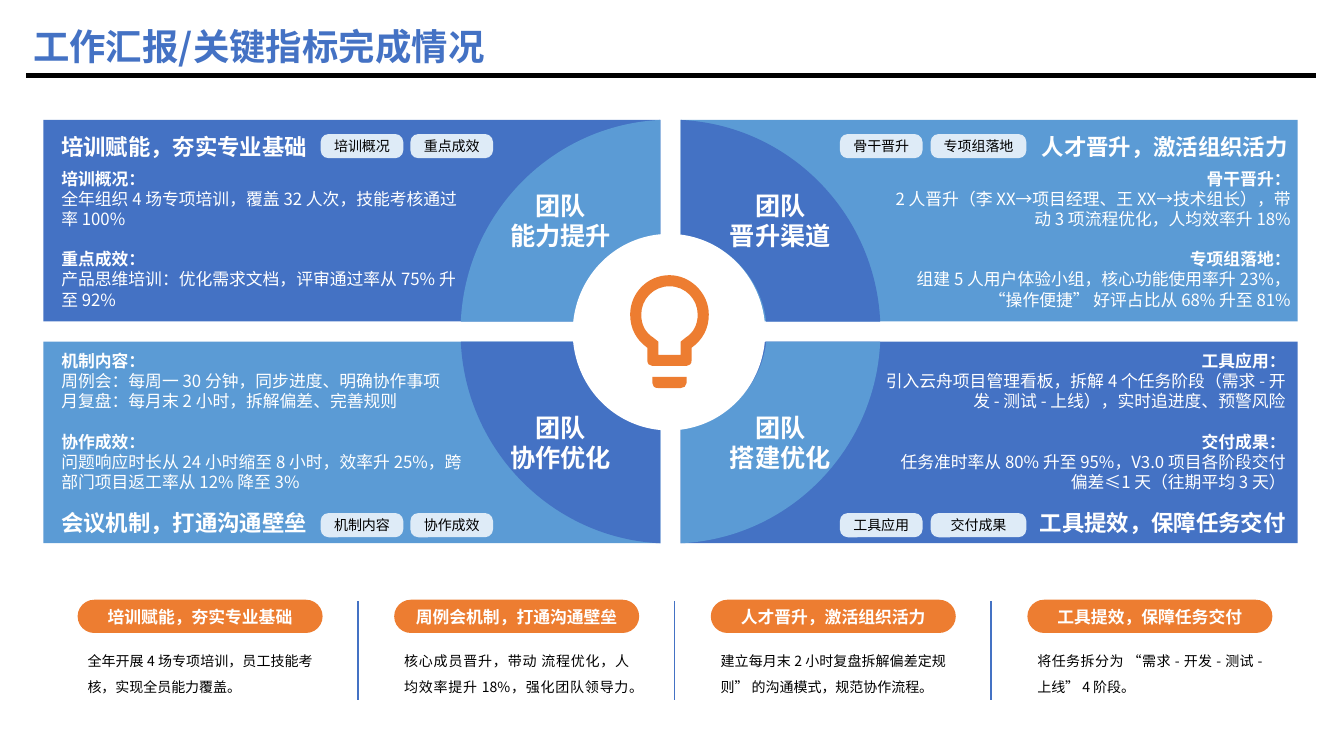
from lxml.etree import SubElement
from pptx import Presentation
from pptx.dml.color import RGBColor
from pptx.enum.shapes import MSO_CONNECTOR, MSO_SHAPE
from pptx.enum.text import MSO_ANCHOR, PP_ALIGN
from pptx.oxml.ns import qn
from pptx.util import Inches, Pt

BLUE, SKY, ORANGE, PALE = "4472C4", "5B9BD5", "ED7D31", "DEEBF7"
WHITE, BLACK = "FFFFFF", "000000"
LEFT, RIGHT = PP_ALIGN.LEFT, PP_ALIGN.RIGHT
CENTER, JUSTIFY = PP_ALIGN.CENTER, PP_ALIGN.JUSTIFY


def color(hex_code):
    return RGBColor.from_string(hex_code)


def write(frame, text, size=12, ink=WHITE, bold=False, align=LEFT, pitch=1.2,
          before=0, font="Noto Sans CJK SC"):
    """Add one paragraph to a text frame."""
    first = not frame.paragraphs[0].runs
    paragraph = frame.paragraphs[0] if first else frame.add_paragraph()
    paragraph.alignment = align
    paragraph.line_spacing = Pt(size * pitch)
    if before and not first:
        paragraph.space_before = Pt(before)
    run = paragraph.add_run()
    run.text = text
    run.font.size = Pt(size)
    run.font.bold = bold
    run.font.color.rgb = color(ink)
    run.font.name = font
    SubElement(run.font._element, qn("a:ea"), typeface=font)


class Report:
    """Holds the presentation and draws styled elements on its slide."""

    def __init__(self):
        self.deck = Presentation()
        self.deck.slide_width = Inches(13.33)
        self.deck.slide_height = Inches(7.5)
        self.slide = self.deck.slides.add_slide(self.deck.slide_layouts[6])
        self.shapes = self.slide.shapes

    def paint(self, shape, fill):
        shape.shadow.inherit = False
        shape.fill.solid()
        shape.fill.fore_color.rgb = color(fill)
        shape.line.fill.background()
        shape.text_frame.word_wrap = True
        shape.text_frame.vertical_anchor = MSO_ANCHOR.MIDDLE
        return shape

    def block(self, kind, x, y, w, h, fill):
        shape = self.shapes.add_shape(kind, Inches(x), Inches(y), Inches(w), Inches(h))
        return self.paint(shape, fill)

    def pill(self, text, x, y, w, h, fill, rounding, **style):
        shape = self.block(MSO_SHAPE.ROUNDED_RECTANGLE, x, y, w, h, fill)
        shape.adjustments[0] = rounding
        frame = shape.text_frame
        frame.margin_left = frame.margin_right = 0
        frame.margin_top = frame.margin_bottom = 0
        write(frame, text, align=CENTER, **style)

    def outline(self, contours, fill):
        """Draw contours whose segments are one point (line) or three (curve)."""
        emu = [[[(Inches(x), Inches(y)) for x, y in segment] for segment in contour]
               for contour in contours]
        builder = self.shapes.build_freeform(*emu[0][0][0])
        for index, (start, *segments) in enumerate(emu):
            if index:
                builder.move_to(*start[0])
            builder.add_line_segments([point for segment in segments for point in segment])
        shape = builder.convert_to_shape()
        steps = iter(list(shape._element.iter(qn("a:lnTo"))))
        for _start, *segments in emu:
            for segment in segments:
                lines = [next(steps) for _point in segment]
                if len(lines) == 3:
                    curve = SubElement(lines[0].getparent(), qn("a:cubicBezTo"))
                    lines[0].addprevious(curve)
                    for line in lines:
                        curve.append(line[0])
                        line.getparent().remove(line)
        return self.paint(shape, fill)

    def text(self, x, y, w, h):
        frame = self.shapes.add_textbox(Inches(x), Inches(y), Inches(w), Inches(h)).text_frame
        frame.word_wrap = True
        return frame

    def line(self, x1, y1, x2, y2, ink, width):
        rule = self.shapes.add_connector(
            MSO_CONNECTOR.STRAIGHT, Inches(x1), Inches(y1), Inches(x2), Inches(y2))
        rule.line.color.rgb = color(ink)
        rule.line.width = Pt(width)
        SubElement(rule._element.spPr, qn("a:effectLst"))


QUADRANTS = [
    dict(side=-1, level=-1, theme="能力提升", heading="培训赋能，夯实专业基础", body=[
        ("培训概况", ["全年组织 4 场专项培训，覆盖 32 人次，技能考核通过率 100%"]),
        ("重点成效", ["产品思维培训：优化需求文档，评审通过率从 75% 升至 92%"])]),
    dict(side=1, level=-1, theme="晋升渠道", heading="人才晋升，激活组织活力", body=[
        ("骨干晋升", ["2 人晋升（李 XX→项目经理、王 XX→技术组长），带动 3 项流程优化，人均效率升 18%"]),
        ("专项组落地", ["组建 5 人用户体验小组，核心功能使用率升 23%，“操作便捷” 好评占比从 68% 升至 81%"])]),
    dict(side=1, level=1, theme="搭建优化", heading="工具提效，保障任务交付", body=[
        ("工具应用", ["引入云舟项目管理看板，拆解 4 个任务阶段（需求 - 开发 - 测试 - 上线），实时追进度、预警风险"]),
        ("交付成果", ["任务准时率从 80% 升至 95%，V3.0 项目各阶段交付偏差≤1 天（往期平均 3 天）"])]),
    dict(side=-1, level=1, theme="协作优化", heading="会议机制，打通沟通壁垒", body=[
        ("机制内容", ["周例会：每周一 30 分钟，同步进度、明确协作事项",
                  "月复盘：每月末 2 小时，拆解偏差、完善规则"]),
        ("协作成效", ["问题响应时长从 24 小时缩至 8 小时，效率升 25%，跨部门项目返工率从 12% 降至 3%"])]),
]

SUMMARIES = [
    ("培训赋能，夯实专业基础", "全年开展 4 场专项培训，员工技能考核，实现全员能力覆盖。"),
    ("周例会机制，打通沟通壁垒", "核心成员晋升，带动 流程优化，人均效率提升 18%，强化团队领导力。"),
    ("人才晋升，激活组织活力", "建立每月末 2 小时复盘拆解偏差定规则” 的沟通模式，规范协作流程。"),
    ("工具提效，保障任务交付", "将任务拆分为 “需求 - 开发 - 测试 - 上线” 4 阶段。"),
]

HUB_X, HUB_Y, GAP = 6.65, 3.29, 0.1

QUARTER_RING = [
    [(0.1, 2.1)], [(0.1, 0.96)], [(0.54, 0.91), (0.9, 0.55), (0.95, 0.1)],
    [(2.08, 0.1)], [(2.03, 1.18), (1.17, 2.05), (0.1, 2.1)]]

BULB_HOLLOW = [
    [(6.8, 3.35)], [(6.88, 3.3), (6.92, 3.22), (6.92, 3.12)],
    [(6.92, 2.97), (6.8, 2.84), (6.64, 2.84)], [(6.48, 2.84), (6.36, 2.97), (6.36, 3.12)],
    [(6.36, 3.22), (6.4, 3.3), (6.48, 3.35)], [(6.53, 3.39)], [(6.53, 3.52)],
    [(6.75, 3.52)], [(6.75, 3.39)], [(6.8, 3.35)]]
BULB_GLASS = [
    [(6.64, 2.73)], [(6.85, 2.73), (7.03, 2.91), (7.03, 3.12)],
    [(7.03, 3.26), (6.97, 3.37), (6.86, 3.45)], [(6.86, 3.57)],
    [(6.86, 3.61), (6.84, 3.63), (6.81, 3.63)], [(6.47, 3.63)],
    [(6.44, 3.63), (6.42, 3.61), (6.42, 3.57)], [(6.42, 3.45)],
    [(6.31, 3.37), (6.25, 3.26), (6.25, 3.12)], [(6.25, 2.91), (6.42, 2.73), (6.64, 2.73)]]
BULB_BASE = [
    [(6.47, 3.8)], [(6.47, 3.74)], [(6.81, 3.74)], [(6.81, 3.8)],
    [(6.81, 3.83), (6.78, 3.85), (6.75, 3.85)], [(6.53, 3.85)],
    [(6.49, 3.85), (6.47, 3.83), (6.47, 3.8)]]


def draw_quadrant(report, side, level, theme, **_):
    """Draw a panel and its quarter ring."""
    panel, wedge = (BLUE, SKY) if side == level else (SKY, BLUE)
    x = 0.43 if side < 0 else HUB_X + GAP
    y = 1.19 if level < 0 else HUB_Y + GAP
    report.block(MSO_SHAPE.RECTANGLE, x, y, 6.12, 2, panel)
    ring = [[(HUB_X + side * dx, HUB_Y + level * dy) for dx, dy in segment]
            for segment in QUARTER_RING]
    quarter = report.outline([ring], wedge)
    for label in ("团队", theme):
        write(quarter.text_frame, label, size=18, bold=True, align=CENTER)


def fill_quadrant(report, side, level, heading, body, **_):
    """Write a panel's heading, tags and details."""
    align = LEFT if side < 0 else RIGHT
    x = 0.51 if side < 0 else 8.73 if level < 0 else 8.68
    title_x = 0.51 if side < 0 else 8.73 if level < 0 else 8.71
    heading_y, details_y = (1.27, 1.62) if level < 0 else (5, 3.43)
    details = report.text(x, details_y, 4.17, 1.55)
    for topic, lines in body:
        write(details, topic + "：", bold=True, align=align, before=14.4)
        for line in lines:
            write(details, line, align=align)
    title = report.text(title_x, heading_y, 4.14, 0.31)
    write(title, heading, size=16, bold=True, align=align)
    tags = [(3.18, 0.82), (4.07, 0.82)] if side < 0 else [(8.33, 0.82), (9.23, 0.95)]
    for (topic, _lines), (tag_x, width) in zip(body, tags):
        report.pill(topic, tag_x, 1.33 if level < 0 else 5.09, width, 0.24,
                    PALE, 0.33, size=10, ink=BLACK)


def main():
    report = Report()
    report.line(0.26, 0.75, 13.05, 0.75, BLACK, 3)
    write(report.text(0.23, 0.19, 6.82, 0.54), "工作汇报/关键指标完成情况",
          size=26, ink=BLUE, bold=True)
    for quadrant in QUADRANTS:
        draw_quadrant(report, **quadrant)
    report.block(MSO_SHAPE.OVAL, 5.68, 2.32, 1.91, 1.95, WHITE)
    for quadrant in QUADRANTS:
        fill_quadrant(report, **quadrant)
    for column, (heading, summary) in enumerate(SUMMARIES):
        x = 0.77 + 3.14 * column
        write(report.text(x, 6.33, 2.43, 0.6), summary,
              size=10, ink=BLACK, align=JUSTIFY, pitch=1.86)
        report.pill(heading, x, 5.95, 2.43, 0.33, ORANGE, 0.5, bold=True)
        if column:
            report.line(x - 0.36, 5.96, x - 0.36, 6.94, BLUE, 1.25)
    report.outline([BULB_HOLLOW, BULB_GLASS, BULB_BASE], ORANGE)
    report.deck.save("out.pptx")


if __name__ == "__main__":
    main()
